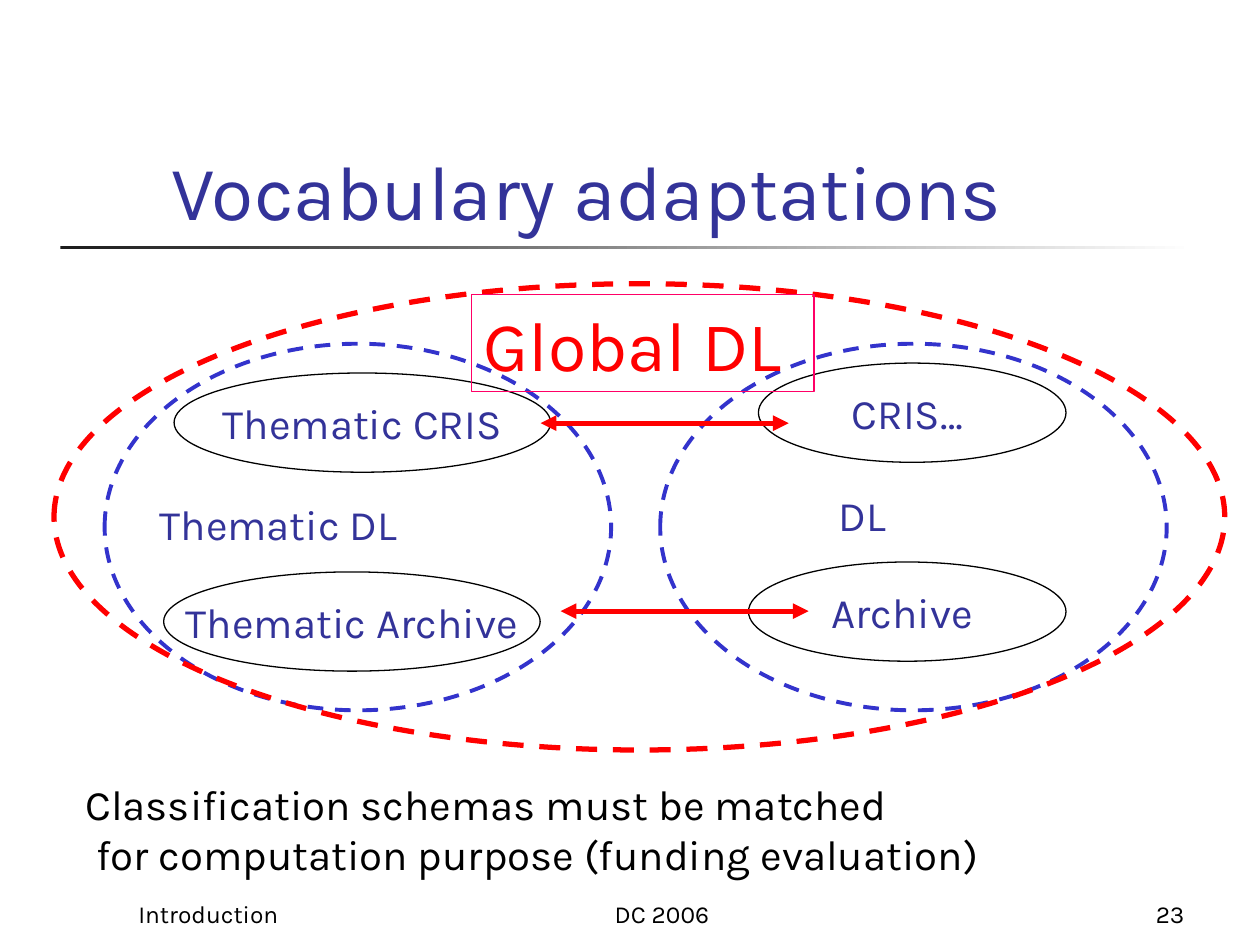
from dataclasses import dataclass
from typing import Optional

from lxml import etree
from pptx import Presentation
from pptx.dml.color import RGBColor
from pptx.enum.dml import MSO_LINE
from pptx.enum.shapes import MSO_CONNECTOR, MSO_SHAPE
from pptx.enum.text import MSO_ANCHOR, MSO_AUTO_SIZE, PP_ALIGN
from pptx.oxml.ns import qn
from pptx.util import Cm, Pt

OVAL, RECT = MSO_SHAPE.OVAL, MSO_SHAPE.RECTANGLE
STRAIGHT, DASH = MSO_CONNECTOR.STRAIGHT, MSO_LINE.DASH
TOP, MIDDLE, BOTTOM = MSO_ANCHOR.TOP, MSO_ANCHOR.MIDDLE, MSO_ANCHOR.BOTTOM
LEFT, CENTER, RIGHT = PP_ALIGN.LEFT, PP_ALIGN.CENTER, PP_ALIGN.RIGHT
GROW, FIXED = MSO_AUTO_SIZE.SHAPE_TO_FIT_TEXT, MSO_AUTO_SIZE.NONE

FONT = "Karla"
COLORS = {
    "ink": "000000", "text": "333399", "ring": "3333CC", "global": "FF0000",
    "frame": "FF0066", "rule": "1C1C1C", "paper": "FFFFFF",
}


@dataclass
class Box:
    x: float
    y: float
    w: float
    h: float


@dataclass
class Label:
    box: Box
    lines: tuple[str, ...]
    size: int = 24
    color: str = "text"
    anchor: MSO_ANCHOR = BOTTOM
    align: PP_ALIGN = LEFT
    wrap: bool = False
    frame: Optional[str] = None
    indent: float = 0


@dataclass
class Ellipse:
    box: Box
    color: str = "ink"
    width: float = 0.75
    dashed: bool = False
    text: str = ""


@dataclass
class Arrow:
    x: float
    y: float
    length: float = 5


RING_W, RING_H, RING_Y = 10.21, 7.39, 6.93
FOOT_Y, FOOT_H = 17.58, 1.27
TITLE = Label(Box(3.2, 1.7, 21.64, 3.18), ("Vocabulary adaptations",), 44, wrap=True)
SYSTEMS = [
    Ellipse(Box(15.29, 7.32, 6.2, 2), text="CRIS… "),
    Ellipse(Box(15.09, 11.33, 6.4, 2), text="Archive "),
    Ellipse(Box(3.51, 7.52, 7.59, 2), text="Thematic CRIS"),
    Ellipse(Box(3.3, 11.53, 7.59, 2), text="Thematic Archive"),
]
RINGS = [Ellipse(Box(x, RING_Y, RING_W, RING_H), "ring", 2.25, True) for x in (13.31, 2.11)]
LIBRARIES = [
    Label(Box(16.66, 9.73, 1.57, 1.27), ("DL",)),
    Label(Box(2.97, 9.93, 5.46, 1.27), ("Thematic DL",)),
]
ARROWS = [Arrow(10.9, 8.53), Arrow(11.3, 12.32)]
GLOBAL_RING = Ellipse(Box(1.09, 5.72, 23.6, 9.4), "global", 3, True)
NOTES = [
    Label(Box(9.5, 5.94, 6.91, 1.96), ("Global DL",), 40, "global", frame="frame"),
    Label(Box(1.47, 15.57, 18.95, 2.29),
          ("Classification schemas must be matched",
           "for computation purpose (funding evaluation)"),
          color="ink", anchor=TOP, indent=0.22),
]
FOOTERS = [
    Label(Box(x, FOOT_Y, w, FOOT_H), (text,), 14, "ink", align=align, wrap=True)
    for x, w, text, align in (
        (9.32, 8.05, "DC 2006", CENTER),
        (18.85, 5.28, "23", RIGHT),
        (2.54, 5.28, "Introduction", LEFT),
    )
]


def rgb(name: str) -> RGBColor:
    return RGBColor.from_string(COLORS[name])


def place(box: Box) -> tuple[Cm, Cm, Cm, Cm]:
    return Cm(box.x), Cm(box.y), Cm(box.w), Cm(box.h)


def write(tf, lines, size, color, anchor, align, wrap=False, indent=0.0) -> None:
    tf.word_wrap = wrap
    tf.vertical_anchor = anchor
    for i, line in enumerate(lines):
        p = tf.add_paragraph() if i else tf.paragraphs[0]
        p.alignment = align
        if i and indent:
            p._p.get_or_add_pPr().set("marL", str(Cm(indent)))
        r = p.add_run()
        r.text = line
        r.font.name, r.font.size = FONT, Pt(size)
        r.font.color.rgb = rgb(color)


def add_label(s, label: Label) -> None:
    sp = s.shapes.add_textbox(*place(label.box))
    write(sp.text_frame, label.lines, label.size, label.color, label.anchor,
          label.align, label.wrap, label.indent)
    sp.text_frame.auto_size = FIXED if label.wrap else GROW
    if label.frame:
        sp.line.color.rgb = rgb(label.frame)
        sp.line.width = Pt(0.75)


def add_ellipse(s, ellipse: Ellipse) -> None:
    sp = s.shapes.add_shape(OVAL, *place(ellipse.box))
    sp.shadow.inherit = False
    sp.fill.background()
    sp.line.color.rgb = rgb(ellipse.color)
    sp.line.width = Pt(ellipse.width)
    if ellipse.dashed:
        sp.line.dash_style = DASH
    if ellipse.text:
        write(sp.text_frame, (ellipse.text,), 24, "text", MIDDLE, CENTER)


def add_arrow(s, arrow: Arrow) -> None:
    sp = s.shapes.add_connector(STRAIGHT, Cm(arrow.x), Cm(arrow.y),
                                Cm(arrow.x + arrow.length), Cm(arrow.y))
    sp.line.color.rgb = rgb("global")
    sp.line.width = Pt(3)
    ln = sp.line._get_or_add_ln()
    for end in ("a:headEnd", "a:tailEnd"):
        etree.SubElement(ln, qn(end), type="triangle")
    etree.SubElement(sp._element.spPr, qn("a:effectLst"))


def add_rule(s) -> None:
    sp = s.shapes.add_shape(RECT, *place(Box(1.22, 4.95, 22.86, 0.08)))
    sp.shadow.inherit = False
    sp.line.fill.background()
    sp.fill.gradient()
    sp.fill.gradient_angle = 0
    for stop, name in zip(sp.fill.gradient_stops, ("rule", "paper")):
        stop.color.rgb = rgb(name)


def main() -> None:
    """Build the vocabulary adaptations slide."""
    prs = Presentation()
    prs.slide_width, prs.slide_height = Cm(25.4), Cm(19.05)
    s = prs.slides.add_slide(prs.slide_layouts[6])
    add_rule(s)
    add_label(s, TITLE)
    for ellipse in SYSTEMS + RINGS:
        add_ellipse(s, ellipse)
    for label in LIBRARIES:
        add_label(s, label)
    for arrow in ARROWS:
        add_arrow(s, arrow)
    add_ellipse(s, GLOBAL_RING)
    for label in NOTES + FOOTERS:
        add_label(s, label)
    prs.save("out.pptx")


if __name__ == "__main__":
    main()
